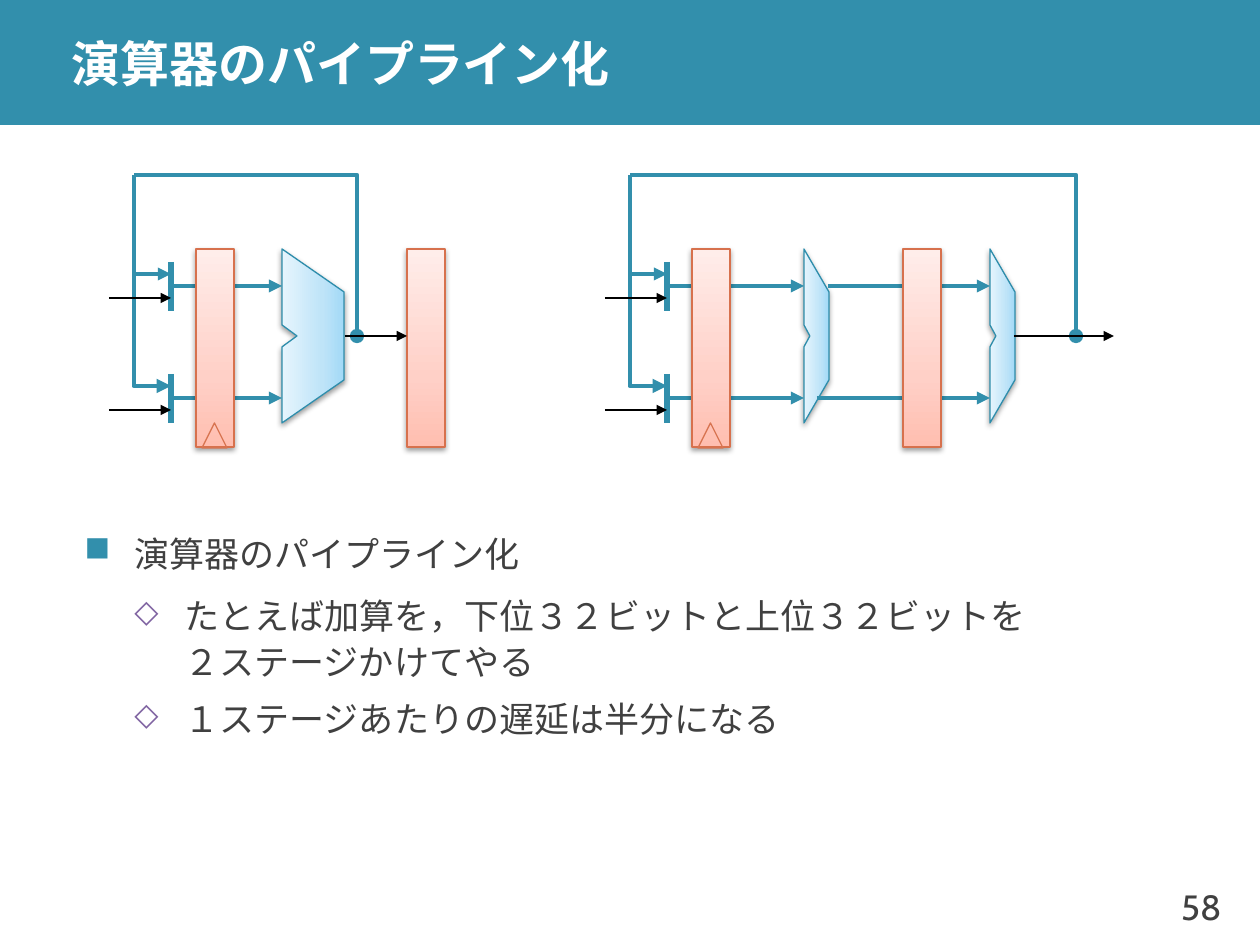
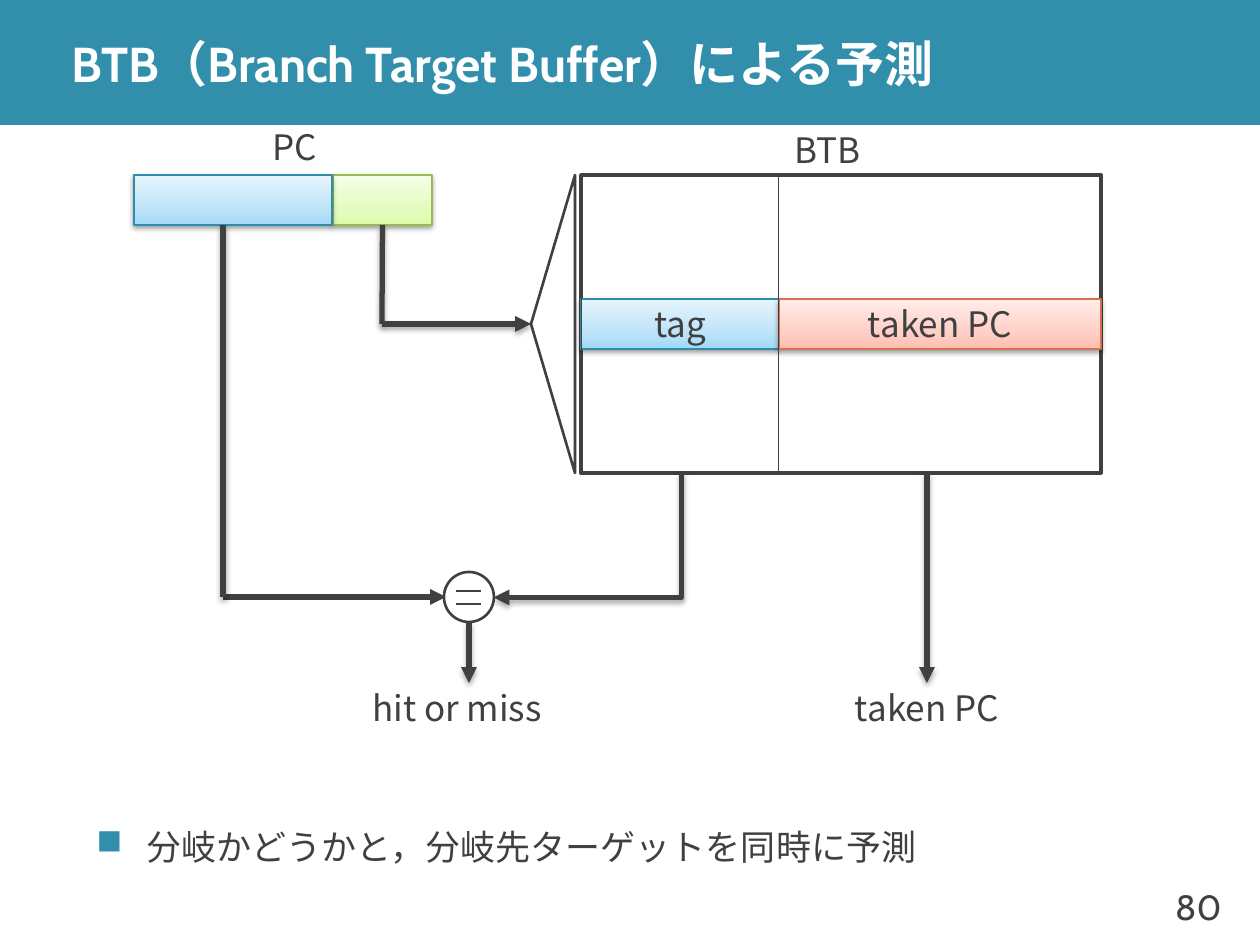
from copy import deepcopy

from lxml import etree
from pptx import Presentation
from pptx.dml.color import RGBColor
from pptx.enum import shapes, text
from pptx.oxml.ns import qn
from pptx.util import Pt

U = 7257  # EMU per px
JP, LATIN = "Noto Sans CJK JP", "Cabin"
HUES = {"teal": "328FAC", "ink": "404040", "white": "FFFFFF", "black": "000000",
        "mark": "8064A2", "clock": "D87552",
        "blue": "2E8DAB", "red": "D7714D", "green": "98B955"}
# Gradient stops from bottom to top; the edge has the hue of the same name
GRADS = {"blue": ("A2D9F7", "BFE4F8", "E6F5FD"),
         "red": ("FFBEB0", "FFD0C7", "FFEDEA"),
         "green": ("DAFDA7", "E4FCC2", "F5FFE7")}
RECT, OVAL = shapes.MSO_SHAPE.RECTANGLE, shapes.MSO_SHAPE.OVAL
LINE = shapes.MSO_CONNECTOR.STRAIGHT
TRI = "triangle"


def paint(item, fill=None, edge=None, width=0.75, head=None, tail=None, shade=None, turn=90):
    """Set fill, line, arrowheads and shadow; shade is (alpha, distance)."""
    props = item._element.spPr
    if fill in GRADS:
        item.fill.gradient()
        item.fill.gradient_angle = turn
        stops = props.find(qn("a:gradFill")).find(qn("a:gsLst"))
        stops.insert(1, deepcopy(stops[0]))
        for stop, spot, tone in zip(item.fill.gradient_stops, (0, 0.35, 1), GRADS[fill]):
            stop.position = spot
            stop.color.rgb = RGBColor.from_string(tone)
        edge, shade = fill, (38000, 20000)
    elif fill:
        item.fill.solid()
        item.fill.fore_color.rgb = RGBColor.from_string(HUES[fill])
    elif hasattr(item, "fill"):
        item.fill.background()
    if edge:
        item.line.color.rgb = RGBColor.from_string(HUES[edge])
        item.line.width = Pt(width)
    else:
        item.line.fill.background()
    for tag, kind in (("a:headEnd", head), ("a:tailEnd", tail)):
        if kind:
            etree.SubElement(props.find(qn("a:ln")), qn(tag), type=kind)
    effect = etree.SubElement(props, qn("a:effectLst"))
    if shade:
        glow = etree.SubElement(effect, qn("a:outerShdw"), blurRad="39370",
                                dist=str(shade[1]), dir="5400000", rotWithShape="0")
        tone = etree.SubElement(glow, qn("a:srgbClr"), val=HUES["black"])
        etree.SubElement(tone, qn("a:alpha"), val=str(shade[0]))


def write(frame, rows, face=JP, size=20, hue="ink", align="CENTER", wrap=False, bold=False):
    frame.word_wrap = wrap
    frame.vertical_anchor = text.MSO_ANCHOR.MIDDLE
    for i, row in enumerate(rows):
        para = frame.add_paragraph() if i else frame.paragraphs[0]
        para.text = row
        para.alignment = getattr(text.PP_ALIGN, align)
        para.font.name, para.font.size, para.font.bold = face, Pt(size), bold
        para.font.color.rgb = RGBColor.from_string(HUES[hue])
        etree.SubElement(para.font._rPr, qn("a:ea"), typeface=JP)


deck = Presentation()
deck.slide_width, deck.slide_height = 1260 * U, 945 * U
plain = deck.slide_layouts[5]

# Shared frame: title, number and bullets
pages = [
    ("演算器のパイプライン化", JP, "58", (72, 522, 1142, 223),
     ["演算器のパイプライン化",
      "たとえば加算を，下位３２ビットと上位３２ビットを\n２ステージかけてやる",
      "１ステージあたりの遅延は半分になる"]),
    ("BTB（Branch Target Buffer）による予測", LATIN, "80", (84, 820, 1142, 49),
     ["分岐かどうかと，分岐先ターゲットを同時に予測"]),
]
for head, face, num, area, rows in pages:
    slide = deck.slides.add_slide(plain)
    title = slide.shapes.title
    title.left, title.top, title.width, title.height = (U * v for v in (59, 0, 1201, 125))
    frame = title.text_frame
    frame.margin_top = frame.margin_bottom = 0
    write(frame, [head], face, 28, "white", "LEFT", True, True)
    box = slide.shapes.add_textbox(*(U * v for v in (1150, 869, 84, 76)))
    write(box.text_frame, [num], LATIN, align="RIGHT")

    body = slide.shapes.add_textbox(*(U * v for v in area)).text_frame
    write(body, rows, LATIN, align="LEFT", wrap=True)
    for i, para in enumerate(body.paragraphs):
        sign, tone, part = ("◇", "mark", "90000") if i else ("■", "teal", "100000")
        para.level = min(i, 1)
        para.line_spacing = 1.1
        para.space_before, para.space_after = (Pt(3), Pt(3)) if i else (Pt(24), Pt(6))
        props = para._p.pPr
        props.set("marL", str((100 if i else 50) * U))
        props.set("indent", str(-50 * U))
        paint_tag = etree.Element(qn("a:buClr"))
        etree.SubElement(paint_tag, qn("a:srgbClr"), val=HUES[tone])
        for tag in (paint_tag, etree.Element(qn("a:buSzPct"), val=part),
                    etree.Element(qn("a:buChar"), char=sign)):
            para.font._rPr.addprevious(tag)

# The band belongs to the layout
band = deck.slides[0].shapes.add_shape(RECT, 0, 0, 1260 * U, 125 * U)
paint(band, "teal")
plain.shapes._spTree.insert(2, band._element)

# Slide 1: one-stage and two-stage arithmetic unit
draw = deck.slides[0].shapes
lanes = (286, 398)
# left edge, units (x, width), second register, output (from, to), feedback tap, extra wires
units = [
    (134, [(282, 62)], 407, (345, 407), 357, []),
    (630, [(804, 25), (990, 25)], 903, (1014, 1114), 1076,
     [(828, 286, 990), (817, 398, 990)]),
]
for left, alus, reg, out, tap, extra in units:
    mux = left + 37
    for x, wide in alus:
        far, notch = x + wide, x + wide // 4
        path = draw.build_freeform(x, 249, scale=U)
        path.add_line_segments([(far, 292), (far, 380), (x, 423), (x, 347), (notch, 336),
                                (x, 325)], close=True)
        paint(path.convert_to_shape(), "blue", turn=180)

    for x, y, end in [(mux, y, alus[0][0]) for y in lanes] + extra:
        wire = draw.add_connector(LINE, x * U, y * U, end * U, y * U)
        paint(wire, edge="teal", width=2.5, tail=TRI)
    for x in (left + 62, reg):
        paint(draw.add_shape(RECT, x * U, 249 * U, 38 * U, 198 * U), "red")
    clock = draw.add_shape(shapes.MSO_SHAPE.ISOSCELES_TRIANGLE,
                           (left + 68) * U, 423 * U, 25 * U, 25 * U)
    paint(clock, edge="clock")

    loops = [([(tap, 336), (tap, 175), (left, 175)], 2.75, "oval", None),
             ([(left, 175), (left, 274), (mux, 274)], 2.5, None, TRI),
             ([(left, 274), (left, 386), (mux, 386)], 2.75, None, TRI)]
    for dots, width, start, stop in loops:
        path = draw.build_freeform(*dots[0], scale=U)
        path.add_line_segments(dots[1:], close=False)
        paint(path.convert_to_shape(), None, "teal", width, start, stop)

    for y in lanes:
        bar = draw.add_connector(LINE, mux * U, (y - 24) * U, mux * U, (y + 25) * U)
        paint(bar, edge="teal", width=3)
    for x, y, end in [(left - 25, y + 12, mux) for y in lanes] + [(out[0], 336, out[1])]:
        wire = draw.add_connector(LINE, x * U, y * U, end * U, y * U)
        paint(wire, edge="black", tail=TRI)

# Slide 2: branch target buffer
draw = deck.slides[1].shapes
soft = (35000, 23000)
index = draw.add_shape(RECT, 333 * U, 175 * U, 99 * U, 50 * U)
paint(index, "green")
paint(draw.add_shape(RECT, 134 * U, 175 * U, 198 * U, 50 * U), "blue")
paint(draw.add_shape(RECT, 581 * U, 175 * U, 520 * U, 298 * U), "white", "ink", 2)
path = draw.build_freeform(575, 175, scale=U)
path.add_line_segments([(575, 473), (531, 324)], close=True)
paint(path.convert_to_shape(), "white", "ink", 1.5)

# Labels
notes = {}
for name, word, *area in [("pc", "PC", 134, 125, 322, 43), ("btb", "BTB", 729, 125, 198, 50),
                          ("hit", "hit or miss", 358, 683, 198, 50),
                          ("taken", "taken PC", 828, 683, 198, 50)]:
    notes[name] = draw.add_textbox(*(U * v for v in area))
    write(notes[name].text_frame, [word])

# Wires
wires = {}
for name, x, y, end, low, tail, shade in [
        ("index", 382, 225, 382, 324, None, soft),
        ("select", 382, 324, 531, 324, TRI, soft),
        ("match", 223, 597, 446, 597, TRI, None),
        ("high", 223, 225, 223, 597, None, soft),
        ("taken", 927, 473, 927, 683, TRI, soft),
        ("hit", 469, 622, 469, 683, TRI, soft)]:
    wires[name] = draw.add_connector(LINE, x * U, y * U, end * U, low * U)
    paint(wires[name], edge="ink", width=3, tail=tail, shade=shade)
wires["index"].begin_connect(index, 2)
wires["taken"].end_connect(notes["taken"], 0)

# A quarter turn makes the elbow run down, then left
bend = draw.add_connector(shapes.MSO_CONNECTOR.ELBOW, 525 * U, 441 * U, 650 * U, 629 * U)
bend._element.spPr.find(qn("a:prstGeom")).set("prst", "bentConnector2")
bend._element.spPr.find(qn("a:xfrm")).set("rot", "5400000")
paint(bend, edge="ink", width=3, tail=TRI, shade=soft)

# Comparator
equal = draw.add_group_shape().shapes
paint(equal.add_shape(OVAL, 444 * U, 572 * U, 50 * U, 50 * U), "white", "ink", 1.5)
for y in (591, 604):
    paint(equal.add_connector(LINE, 456 * U, y * U, 481 * U, y * U), edge="ink", width=1.5)

# Selected entry
for word, fill, x, wide in [("tag", "blue", 581, 198), ("taken PC", "red", 779, 322)]:
    cell = draw.add_shape(RECT, x * U, 299 * U, wide * U, 50 * U)
    paint(cell, fill)
    write(cell.text_frame, [word])
paint(draw.add_shape(RECT, 581 * U, 175 * U, 198 * U, 298 * U), edge="ink", width=0.5)

deck.save("out.pptx")
